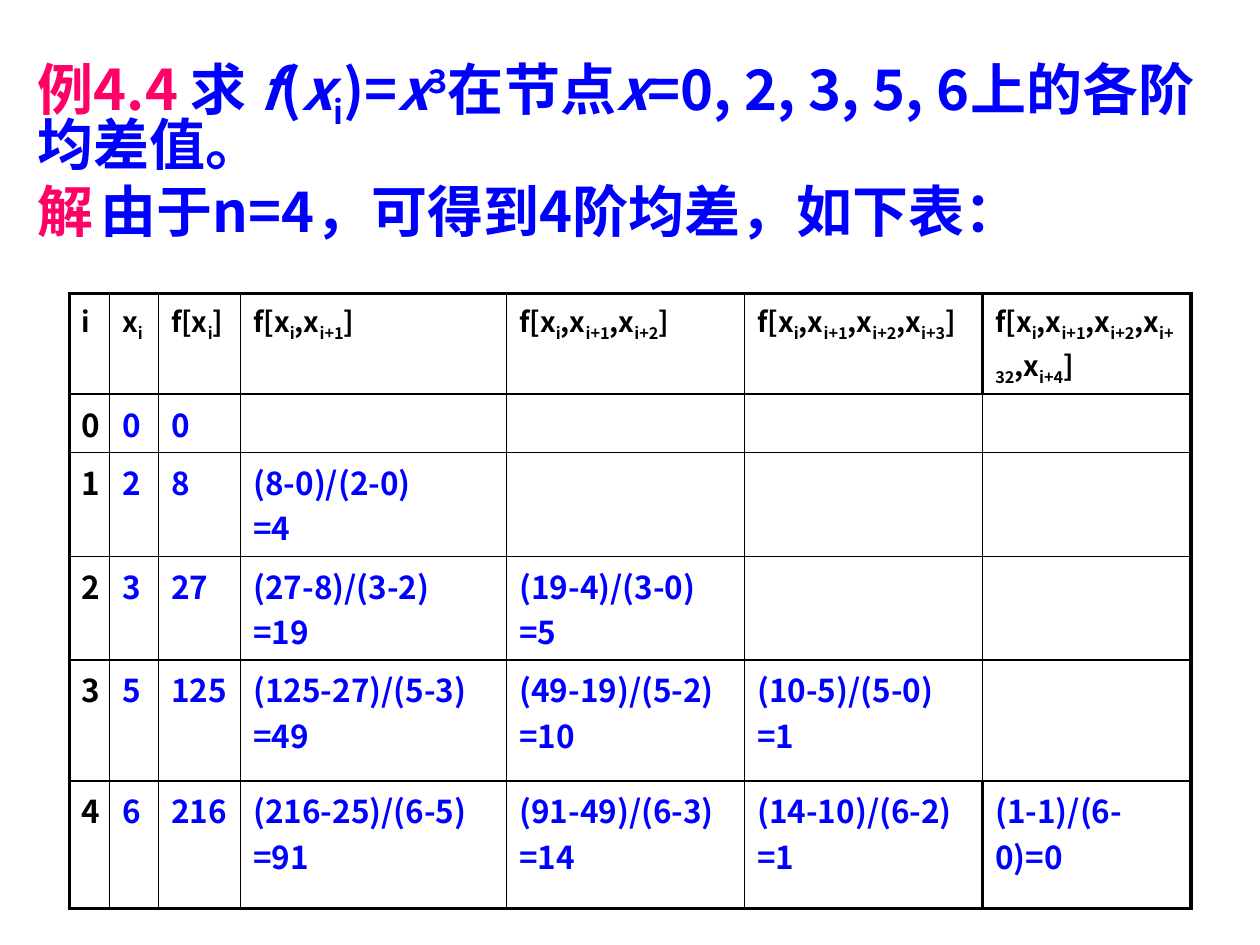
from typing import NamedTuple

from lxml import etree
from pptx import Presentation
from pptx import util as u
from pptx.dml.color import RGBColor
from pptx.enum import text
from pptx.oxml import ns

FONT = "Noto Sans CJK SC"
BLACK, BLUE, PINK = "000000", "0000FF", "FF0066"
THIN, THICK = 1, 2.25
SUB, SUPER = -25000, 30000


class Run(NamedTuple):
    text: str
    color: str = BLUE
    italic: bool = False
    baseline: int = 0


COLUMNS = [23, 28, 47, 152, 136, 136, 119]
ROWS = [47, 31, 54, 55, 69, 73]
PROBLEM = [
    Run("例4.4 ", PINK), Run("求 "), Run("f", italic=True), Run("("),
    Run("x", italic=True), Run("i", baseline=SUB), Run(")="),
    Run("x", italic=True), Run("3", baseline=SUPER), Run("在节点"),
    Run("x", italic=True), Run("=0, 2, 3, 5, 6上的各阶均差值。"),
]
SOLUTION = [Run("解", PINK), Run("\t由于n=4，可得到4阶均差，如下表：")]
INDICES = [
    ["i"],
    ["i", "i+1"],
    ["i", "i+1", "i+2"],
    ["i", "i+1", "i+2", "i+3"],
    ["i", "i+1", "i+2", "i+32", "i+4"],
]
VALUES = [
    ["0", "0", "0"],
    ["1", "2", "8", "(8-0)/(2-0)\n=4"],
    ["2", "3", "27", "(27-8)/(3-2)\n=19", "(19-4)/(3-0)\n=5"],
    ["3", "5", "125", "(125-27)/(5-3)\n=49", "(49-19)/(5-2)\n=10",
     "(10-5)/(5-0)\n=1"],
    ["4", "6", "216", "(216-25)/(6-5)\n=91", "(91-49)/(6-3)\n=14",
     "(14-10)/(6-2)\n=1", "(1-1)/(6-0)=0"],
]


def rgb(color: str) -> RGBColor:
    return RGBColor.from_string(color)


def format_paragraph(p, size: float) -> None:
    p.font.size = u.Pt(size)
    p.font.bold = True
    p.font.name = FONT
    props = p._p.get_or_add_pPr().find(ns.qn("a:defRPr"))
    etree.SubElement(props, ns.qn("a:ea"), typeface=FONT)


def add_runs(p, runs: list[Run]) -> None:
    for run in runs:
        r = p.add_run()
        r.text = run.text
        r.font.color.rgb = rgb(run.color)
        if run.italic:
            r.font.italic = True
        if run.baseline:
            r._r.get_or_add_rPr().set("baseline", str(run.baseline))


def difference_header(indices: list[str]) -> list[Run]:
    runs = []
    for n, index in enumerate(indices):
        runs.append(Run(",x" if n else "f[x", BLACK))
        runs.append(Run(index, BLACK, baseline=SUB))
    return runs + [Run("]", BLACK)]


def set_borders(cell, row: int, col: int) -> None:
    last_row, last_col = len(ROWS) - 1, len(COLUMNS) - 1
    end_row = row in (0, last_row)
    widths = {
        "lnL": THICK if col == 0 or (end_row and col == last_col) else THIN,
        "lnR": THICK if col == last_col or (end_row and col == last_col - 1) else THIN,
        "lnT": THICK if row == 0 else THIN,
        "lnB": THICK if row == last_row else THIN,
    }
    props = cell._tc.get_or_add_tcPr()
    for side, width in widths.items():
        line = etree.SubElement(props, ns.qn(f"a:{side}"), w=str(int(u.Pt(width))))
        fill = etree.SubElement(line, ns.qn("a:solidFill"))
        etree.SubElement(fill, ns.qn("a:srgbClr"), val=BLACK)


def add_statement(s) -> None:
    sp = s.placeholders[1]
    sp.left, sp.top = u.Pt(14.4), u.Pt(31.7)
    sp.width, sp.height = u.Pt(692), u.Pt(118)
    tf = sp.text_frame
    tf.word_wrap = True
    tf.auto_size = text.MSO_AUTO_SIZE.NONE
    tf.vertical_anchor = text.MSO_ANCHOR.TOP
    for n, runs in enumerate([PROBLEM, SOLUTION]):
        p = tf.add_paragraph() if n else tf.paragraphs[0]
        p.alignment = text.PP_ALIGN.LEFT
        p.line_spacing = 0.8
        p.space_before = u.Pt(7.5 if n else 0)
        if n:
            tabs = etree.SubElement(p._p.get_or_add_pPr(), ns.qn("a:tabLst"))
            etree.SubElement(tabs, ns.qn("a:tab"), pos=str(int(u.Pt(47))), algn="l")
        format_paragraph(p, 32)
        add_runs(p, runs)


def fill_cell(cell, lines: list[list[Run]], size: float) -> None:
    tf = cell.text_frame
    for n, runs in enumerate(lines):
        p = tf.add_paragraph() if n else tf.paragraphs[0]
        format_paragraph(p, size)
        add_runs(p, runs)


def add_difference_table(s) -> None:
    table = s.shapes.add_table(
        len(ROWS), len(COLUMNS), u.Pt(39.6), u.Pt(167.8),
        u.Pt(sum(COLUMNS)), u.Pt(sum(ROWS))).table
    table.first_row = table.horz_banding = False
    for column, width in zip(table.columns, COLUMNS):
        column.width = u.Pt(width)
    for row, height in zip(table.rows, ROWS):
        row.height = u.Pt(height)
    for row in range(len(ROWS)):
        for col in range(len(COLUMNS)):
            cell = table.cell(row, col)
            set_borders(cell, row, col)
            cell.fill.background()

    headers = [[Run("i", BLACK)], [Run("x", BLACK), Run("i", BLACK, baseline=SUB)]]
    headers += [difference_header(indices) for indices in INDICES]
    for col, runs in enumerate(headers):
        fill_cell(table.cell(0, col), [runs], 16)
    for row, values in enumerate(VALUES, 1):
        for col, value in enumerate(values):
            color = BLUE if col else BLACK
            lines = [[Run(line, color)] for line in value.split("\n")]
            fill_cell(table.cell(row, col), lines, 18)


def main() -> None:
    prs = Presentation()
    prs.slide_width, prs.slide_height = u.Pt(720), u.Pt(540)
    s = prs.slides.add_slide(prs.slide_layouts[0])
    title = s.shapes.title._element
    title.getparent().remove(title)
    add_statement(s)
    add_difference_table(s)
    prs.save("out.pptx")


if __name__ == "__main__":
    main()
